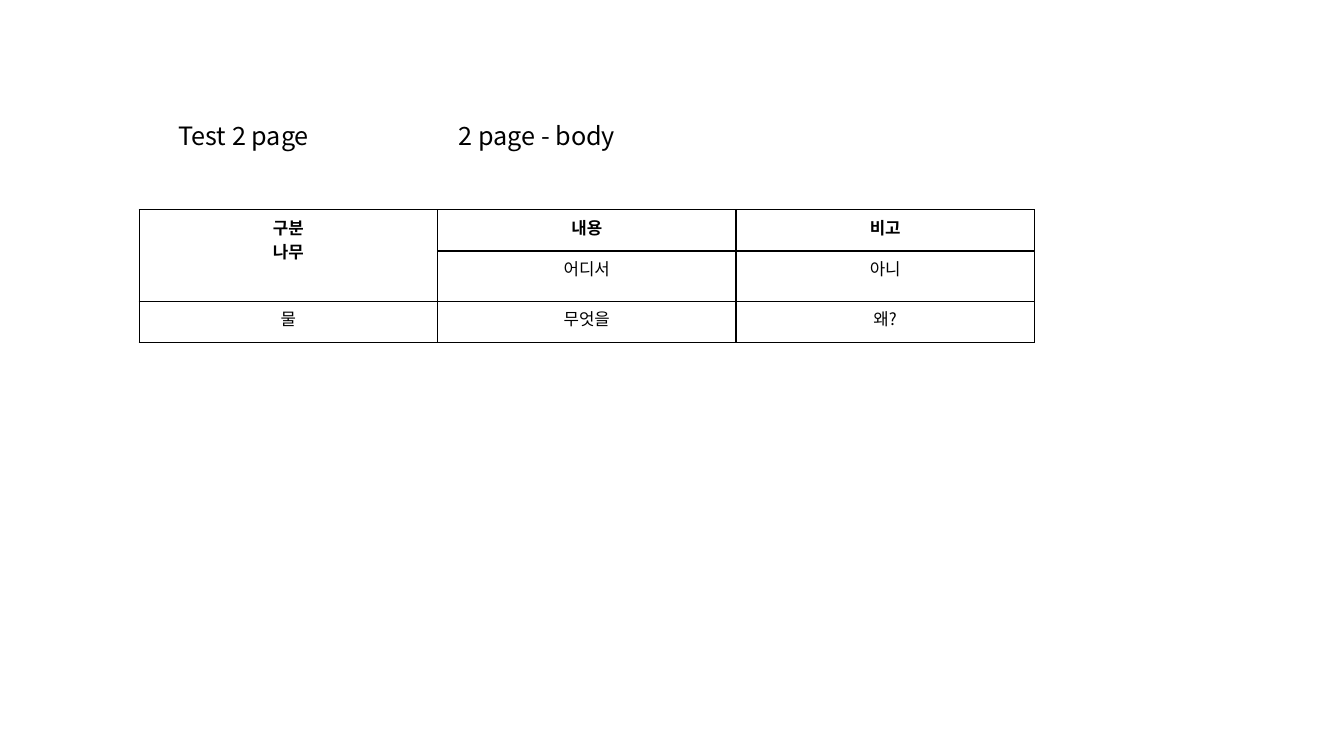
import dataclasses

import lxml.etree
import pptx
import pptx.dml.color
import pptx.enum.text
import pptx.oxml.ns
import pptx.presentation
import pptx.slide
import pptx.table
import pptx.text.text
import pptx.util

Inches = pptx.util.Inches
FONT = "Noto Sans CJK KR"
COLORS = {"text": "000000", "border": "000000"}


@dataclasses.dataclass(frozen=True)
class Label:
    text: str
    left: float
    width: float
    is_title: bool = False


@dataclasses.dataclass(frozen=True)
class TableCell:
    row: int
    column: int
    text: str
    bold: bool = False


LABELS = [
    Label("Test 2 page", 1.67, 1.52, is_title=True),
    Label("2 page - body", 4.45, 1.86),
]
LABEL_TOP, LABEL_HEIGHT = 1.14, 0.4

TABLE_LEFT, TABLE_TOP = 1.38, 2.08
COLUMN_WIDTHS = [2.96] * 3
ROW_HEIGHTS = [0.41, 0.5, 0.41]
CELLS = [
    TableCell(0, 0, "구분\n나무", bold=True),
    TableCell(0, 1, "내용", bold=True),
    TableCell(0, 2, "비고", bold=True),
    TableCell(1, 1, "어디서"),
    TableCell(1, 2, "아니"),
    TableCell(2, 0, "물"),
    TableCell(2, 1, "무엇을"),
    TableCell(2, 2, "왜?"),
]


def write_text(
    frame: pptx.text.text.TextFrame,
    text: str,
    *,
    size: float,
    bold: bool = False,
    align: pptx.enum.text.PP_ALIGN = pptx.enum.text.PP_ALIGN.LEFT,
) -> None:
    """Fill a text frame, one paragraph per line, in a single format."""
    frame.text = text
    for paragraph in frame.paragraphs:
        paragraph.alignment = align
        paragraph.line_spacing = 1.0
        paragraph.space_before = pptx.util.Pt(0)
        for run in paragraph.runs:
            font = run.font
            font.name = FONT
            font.size = pptx.util.Pt(size)
            font.bold = bold
            font.color.rgb = pptx.dml.color.RGBColor.from_string(COLORS["text"])
            # Korean letters take the East Asian typeface
            east_asian = lxml.etree.SubElement(
                run._r.get_or_add_rPr(), pptx.oxml.ns.qn("a:ea")
            )
            east_asian.set("typeface", FONT)


def add_label(slide: pptx.slide.Slide, label: Label) -> None:
    box = (
        Inches(label.left),
        Inches(LABEL_TOP),
        Inches(label.width),
        Inches(LABEL_HEIGHT),
    )
    if label.is_title:
        shape = slide.shapes.title
        shape.left, shape.top, shape.width, shape.height = box
    else:
        shape = slide.shapes.add_textbox(*box)
    frame = shape.text_frame
    frame.word_wrap = False
    frame.auto_size = pptx.enum.text.MSO_AUTO_SIZE.SHAPE_TO_FIT_TEXT
    frame.vertical_anchor = pptx.enum.text.MSO_ANCHOR.TOP
    write_text(frame, label.text, size=18)


def set_borders(cell: pptx.table._Cell, width: float = 1) -> None:
    properties = cell._tc.get_or_add_tcPr()
    for side in ("a:lnL", "a:lnR", "a:lnT", "a:lnB"):
        line = lxml.etree.SubElement(properties, pptx.oxml.ns.qn(side))
        line.set("w", str(pptx.util.Pt(width)))
        fill = lxml.etree.SubElement(line, pptx.oxml.ns.qn("a:solidFill"))
        color = lxml.etree.SubElement(fill, pptx.oxml.ns.qn("a:srgbClr"))
        color.set("val", COLORS["border"])


def add_content_table(slide: pptx.slide.Slide) -> None:
    table = slide.shapes.add_table(
        len(ROW_HEIGHTS),
        len(COLUMN_WIDTHS),
        Inches(TABLE_LEFT),
        Inches(TABLE_TOP),
        Inches(sum(COLUMN_WIDTHS)),
        Inches(sum(ROW_HEIGHTS)),
    ).table
    table.first_row = False
    table.horz_banding = False
    for column, width in zip(table.columns, COLUMN_WIDTHS):
        column.width = Inches(width)
    for row, height in zip(table.rows, ROW_HEIGHTS):
        row.height = Inches(height)

    # The first heading spans two rows
    table.cell(0, 0).merge(table.cell(1, 0))

    # Borders come before the fill in the cell properties
    for cell in table.iter_cells():
        set_borders(cell)
        cell.fill.background()

    for entry in CELLS:
        write_text(
            table.cell(entry.row, entry.column).text_frame,
            entry.text,
            size=12,
            bold=entry.bold,
            align=pptx.enum.text.PP_ALIGN.CENTER,
        )


def main() -> None:
    presentation: pptx.presentation.Presentation = pptx.Presentation()
    presentation.slide_width = Inches(13.33)
    presentation.slide_height = Inches(7.5)
    title_only = presentation.slide_layouts.get_by_name("Title Only")
    slide = presentation.slides.add_slide(title_only)

    # Title and body label
    for label in LABELS:
        add_label(slide, label)

    # Content table
    add_content_table(slide)

    presentation.save("out.pptx")


if __name__ == "__main__":
    main()
